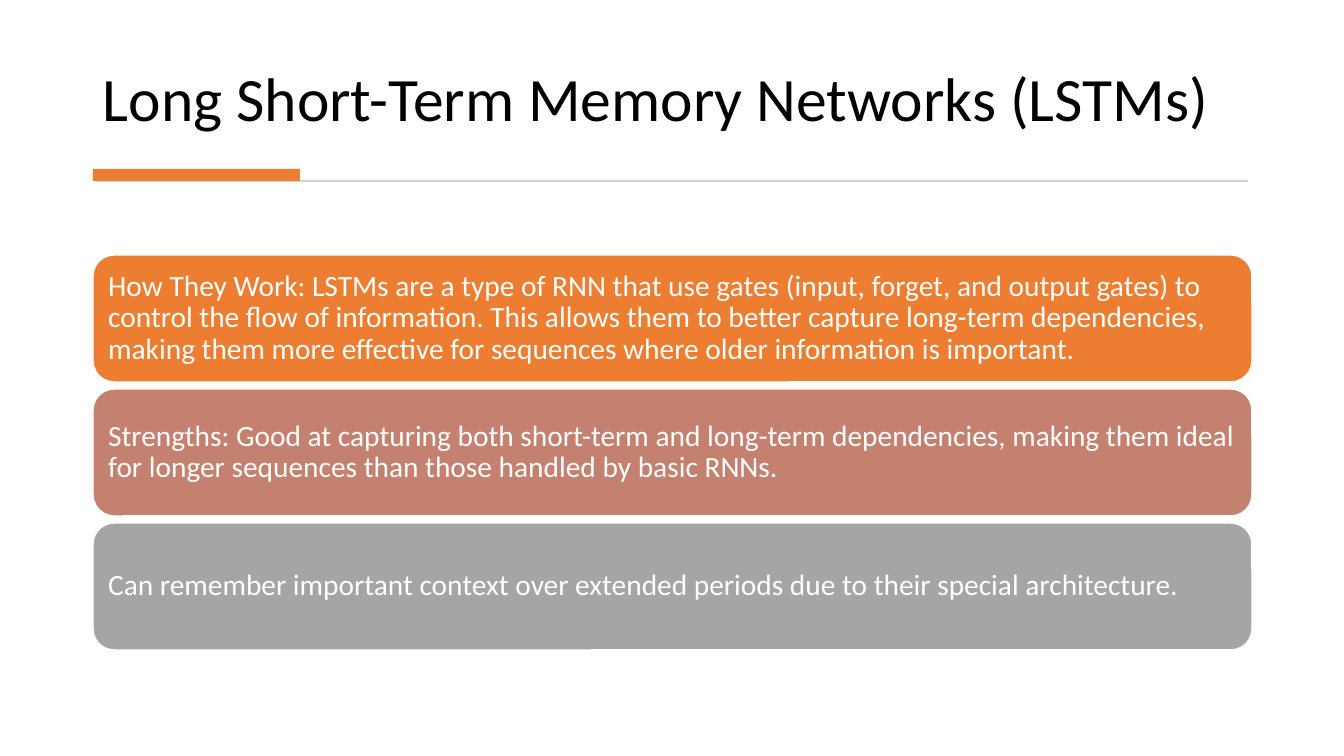
from pptx import Presentation
from pptx.dml.color import RGBColor
from pptx.enum.shapes import MSO_SHAPE
from pptx.enum.text import MSO_ANCHOR, PP_ALIGN
from pptx.util import Emu, Pt

RECTANGLE = MSO_SHAPE.RECTANGLE
ROUNDED = MSO_SHAPE.ROUNDED_RECTANGLE
MIDDLE, BOTTOM = MSO_ANCHOR.MIDDLE, MSO_ANCHOR.BOTTOM
LEFT = PP_ALIGN.LEFT

# Content
TITLE = "Long Short-Term Memory Networks (LSTMs)"
CARDS = [
    ("How They Work: LSTMs are a type of RNN that use gates (input, forget, "
     "and output gates) to control the flow of information. This allows them "
     "to better capture long-term dependencies, making them more effective "
     "for sequences where older information is important.", "orange"),
    ("Strengths: Good at capturing both short-term and long-term "
     "dependencies, making them ideal for longer sequences than those "
     "handled by basic RNNs.", "rose"),
    ("Can remember important context over extended periods due to their "
     "special architecture.", "gray"),
]
COLORS = {"black": "000000", "white": "FFFFFF", "rule": "D5D5D5",
          "orange": "ED7D31", "rose": "C48170", "gray": "A5A5A5"}
FONT = "Calibri"

# Layout in px
PX = 914400 / 100.8
SLIDE_WIDTH, SLIDE_HEIGHT = 1344, 756
TITLE_BOX = (93, 28, 1158, 112)
RULE_BOX = (96, 180, 1152, 2)
ACCENT_BOX = (93, 169, 207, 12)
CARD_LEFT, CARD_TOP, CARD_WIDTH, CARD_HEIGHT = 93, 255, 1159, 127
CARD_GAP = 7
CARD_INSET = 9


def px(length):
    return Emu(round(length * PX))


def color(name):
    return RGBColor.from_string(COLORS[name])


def write_text(shape, text, *, size, font_color, anchor, inset=None):
    frame = shape.text_frame
    frame.word_wrap = True
    frame.vertical_anchor = anchor
    if inset is not None:
        frame.margin_left = frame.margin_right = px(inset)
        frame.margin_top = frame.margin_bottom = px(inset)
    paragraph = frame.paragraphs[0]
    paragraph.alignment = LEFT
    paragraph.line_spacing = 0.9
    run = paragraph.add_run()
    run.text = text
    run.font.name = FONT
    run.font.size = Pt(size)
    run.font.color.rgb = color(font_color)


def add_block(slide, kind, box, fill, line=None):
    shape = slide.shapes.add_shape(kind, *map(px, box))
    shape.shadow.inherit = False
    shape.fill.solid()
    shape.fill.fore_color.rgb = color(fill)
    if line:
        shape.line.color.rgb = color(line)
        shape.line.width = Pt(1)
    else:
        shape.line.fill.background()
    return shape


def main():
    presentation = Presentation()
    presentation.slide_width = px(SLIDE_WIDTH)
    presentation.slide_height = px(SLIDE_HEIGHT)
    slide = presentation.slides.add_slide(presentation.slide_layouts[6])

    # Title with its rule and accent bar
    title = slide.shapes.add_textbox(*map(px, TITLE_BOX))
    write_text(title, TITLE, size=44, font_color="black", anchor=BOTTOM)
    add_block(slide, RECTANGLE, RULE_BOX, "rule")
    add_block(slide, RECTANGLE, ACCENT_BOX, "orange")

    # Stacked cards
    for index, (text, fill) in enumerate(CARDS):
        top = CARD_TOP + index * (CARD_HEIGHT + CARD_GAP)
        card = add_block(slide, ROUNDED,
                         (CARD_LEFT, top, CARD_WIDTH, CARD_HEIGHT),
                         fill, line="white")
        write_text(card, text, size=21, font_color="white",
                   anchor=MIDDLE, inset=CARD_INSET)

    presentation.save("out.pptx")


if __name__ == "__main__":
    main()
